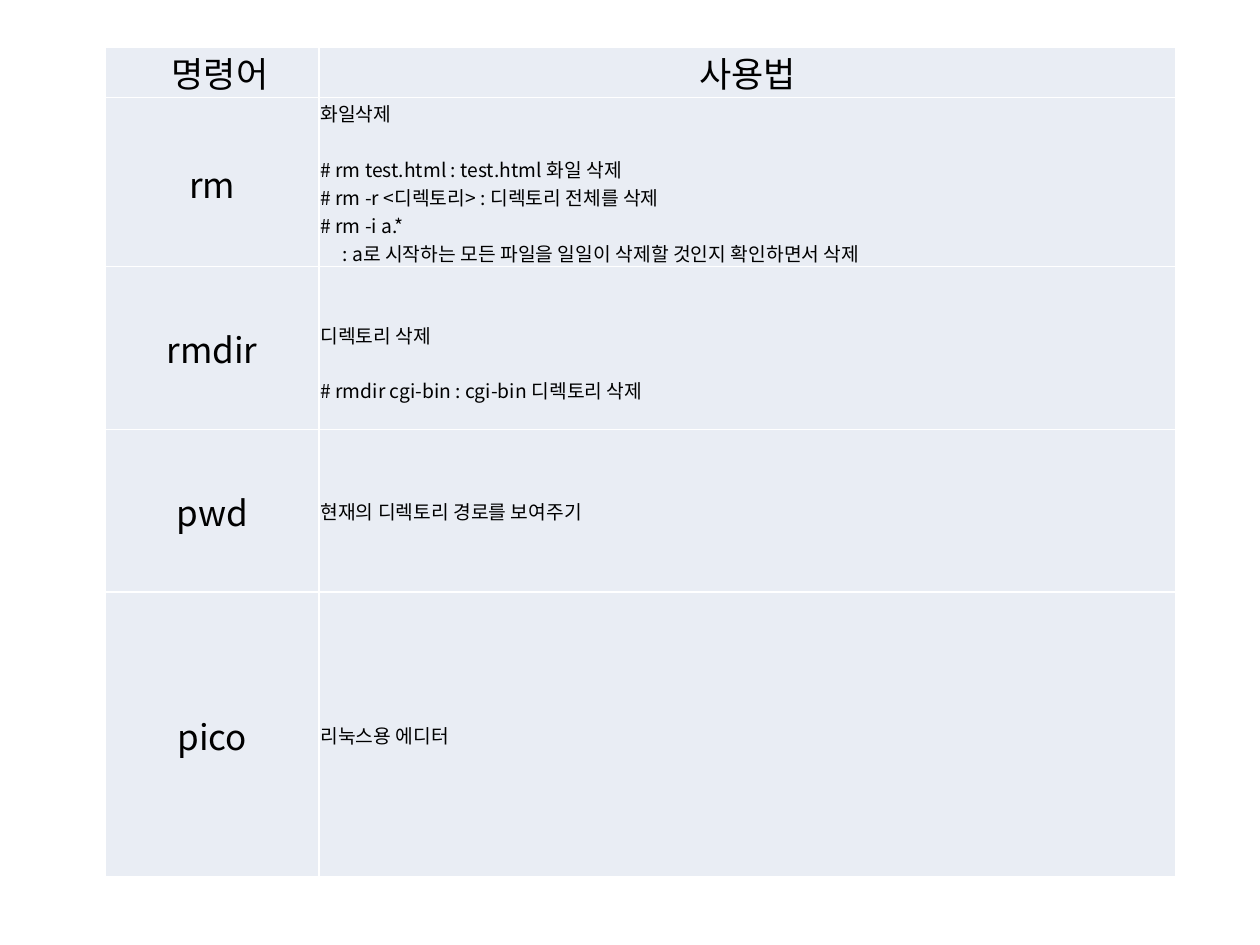
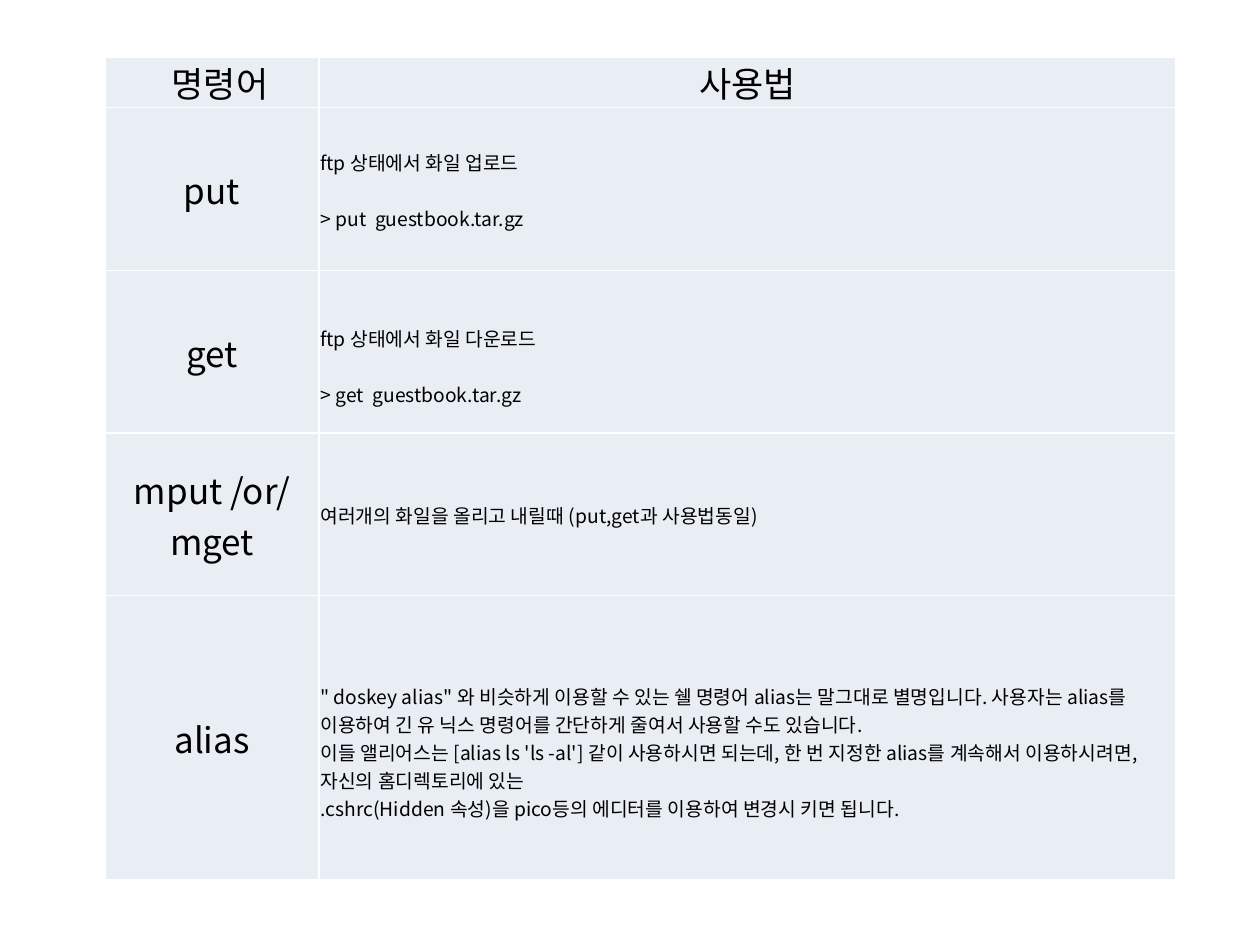
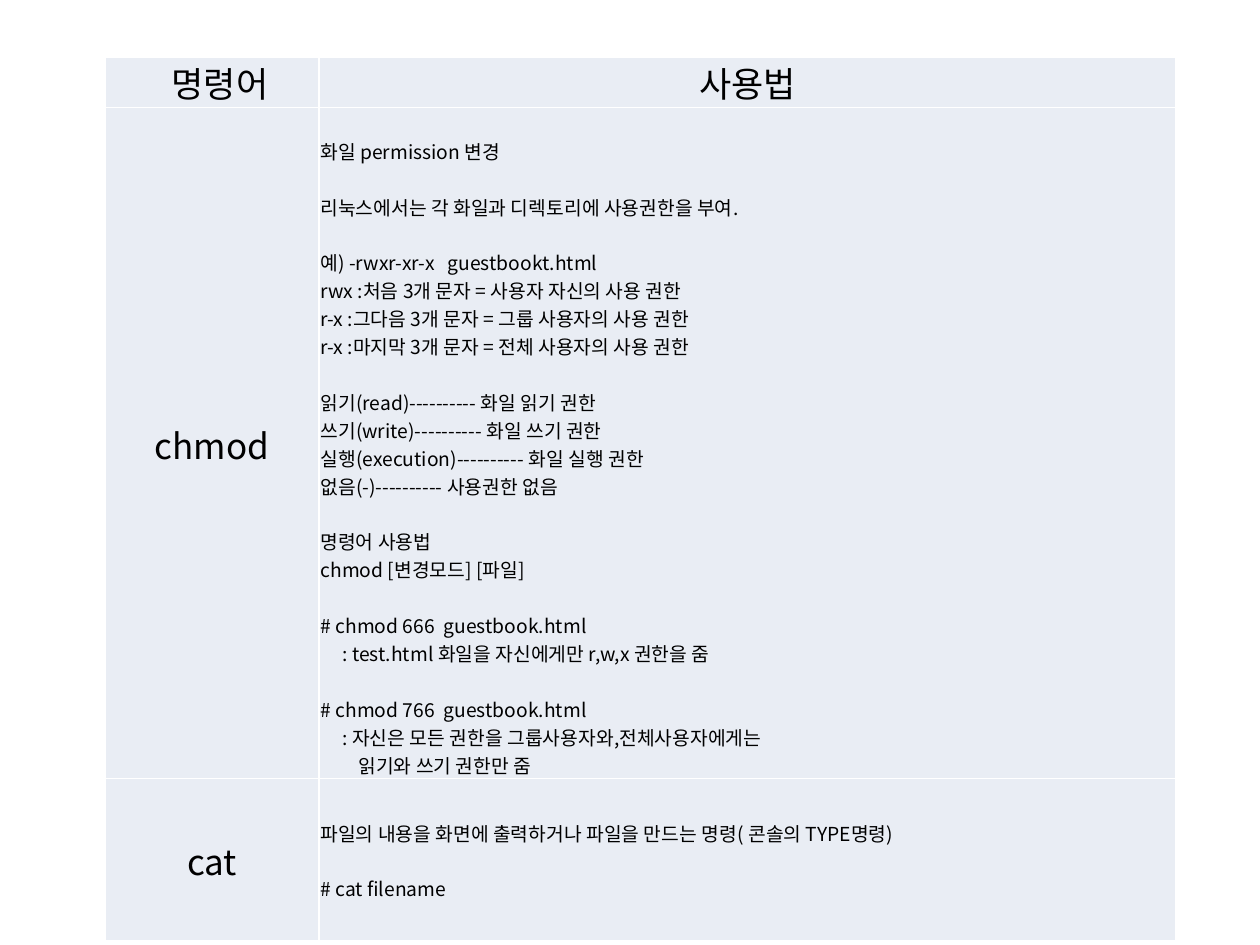
import dataclasses

import pptx
import pptx.dml.color
import pptx.enum.text
import pptx.oxml.ns
import pptx.util
from lxml import etree

Pt = pptx.util.Pt
ALIGN = pptx.enum.text.PP_ALIGN
BLANK_LAYOUT = 6


# Colours, type sizes and spacing shared by all slides
@dataclasses.dataclass(frozen=True)
class Theme:
    font: str = "Noto Sans CJK KR"
    text: str = "000000"
    cell: str = "E9EDF4"
    border: str = "FFFFFF"
    border_width: float = 1
    command_size: float = 20
    usage_size: float = 11
    usage_line: float = 15.9
    inset: float = 0.72
    header_shift: float = 9
    comment_indent: float = 12.6
    continued_indent: float = 21.7


THEME = Theme()

# Table geometry in points
TABLE_LEFT = 60
COLUMN_WIDTHS = (122.4, 489.6)
HEADER_HEIGHT = 29
ROW_HEIGHT = 92.9
TALL_ROW_HEIGHT = 162.7


@dataclasses.dataclass(frozen=True)
class Command:
    """One row; each block of usage lines is set apart by one line."""
    name: str
    blocks: tuple
    height: float = ROW_HEIGHT
    lowered: bool = False


def comment(text):
    return text, THEME.comment_indent


def continued(text):
    return text, THEME.continued_indent


FILE_COMMANDS = (
    Command("rm", (
        ("화일삭제",),
        ("# rm test.html : test.html 화일 삭제",
         "# rm -r <디렉토리> : 디렉토리 전체를 삭제",
         "# rm -i a.*",
         comment(": a로 시작하는 모든 파일을 일일이 삭제할 것인지 확인하면서 삭제")),
    ), height=96.6),
    Command("rmdir", (
        ("디렉토리 삭제",),
        ("# rmdir cgi-bin : cgi-bin 디렉토리 삭제",),
    ), lowered=True),
    Command("pwd", (("현재의 디렉토리 경로를 보여주기",),)),
    Command("pico", (("리눅스용 에디터",),), height=TALL_ROW_HEIGHT),
)

TRANSFER_COMMANDS = (
    Command("put", (
        ("ftp 상태에서 화일 업로드",),
        ("> put  guestbook.tar.gz",),
    )),
    Command("get", (
        ("ftp 상태에서 화일 다운로드",),
        ("> get  guestbook.tar.gz",),
    ), lowered=True),
    Command("mput /or/ mget", (
        ("여러개의 화일을 올리고 내릴때 (put,get과 사용법동일)",),
    )),
    Command("alias", (
        ("\" doskey alias\" 와 비슷하게 이용할 수 있는 쉘 명령어 alias는 말그대로 별명입니다. "
         "사용자는 alias를 이용하여 긴 유 닉스 명령어를 간단하게 줄여서 사용할 수도 있습니다.",
         "이들 앨리어스는 [alias ls 'ls -al'] 같이 사용하시면 되는데, 한 번 지정한 alias를 "
         "계속해서 이용하시려면, 자신의 홈디렉토리에 있는",
         ".cshrc(Hidden 속성)을 pico등의 에디터를 이용하여 변경시 키면 됩니다."),
    ), height=TALL_ROW_HEIGHT, lowered=True),
)

PERMISSION_COMMANDS = (
    Command("chmod", (
        ("화일 permission 변경",),
        ("리눅스에서는 각 화일과 디렉토리에 사용권한을 부여.",),
        ("예) -rwxr-xr-x   guestbookt.html",
         "rwx :처음 3개 문자 = 사용자 자신의 사용 권한",
         "r-x :그다음 3개 문자 = 그룹 사용자의 사용 권한",
         "r-x :마지막 3개 문자 = 전체 사용자의 사용 권한"),
        ("읽기(read)---------- 화일 읽기 권한",
         "쓰기(write)---------- 화일 쓰기 권한",
         "실행(execution)---------- 화일 실행 권한",
         "없음(-)---------- 사용권한 없음"),
        ("명령어 사용법",
         "chmod [변경모드] [파일]"),
        ("# chmod 666  guestbook.html",
         comment(": test.html 화일을 자신에게만 r,w,x 권한을 줌")),
        ("# chmod 766  guestbook.html",
         comment(": 자신은 모든 권한을 그룹사용자와,전체사용자에게는"),
         continued("읽기와 쓰기 권한만 줌")),
    ), height=383.4, lowered=True),
    Command("cat", (
        ("파일의 내용을 화면에 출력하거나 파일을 만드는 명령( 콘솔의 TYPE명령)",),
        ("# cat filename",),
    )),
)

# Table top and rows of each slide
SLIDES = (
    (26.8, FILE_COMMANDS),
    (32.5, TRANSFER_COMMANDS),
    (32.5, PERMISSION_COMMANDS),
)


def apply_format(target, values):
    for name, value in values.items():
        setattr(target, name, value)


def add_element(parent, tag, **attributes):
    return etree.SubElement(parent, pptx.oxml.ns.qn(tag), attributes)


def style_cell(cell, left=0, top=0, right=0):
    apply_format(cell, {
        "margin_left": Pt(left),
        "margin_top": Pt(top),
        "margin_right": Pt(right),
        "margin_bottom": 0,
        "vertical_anchor": pptx.enum.text.MSO_ANCHOR.MIDDLE,
    })
    # Borders come before the fill in the cell properties
    properties = cell._tc.get_or_add_tcPr()
    for side in ("a:lnL", "a:lnR", "a:lnT", "a:lnB"):
        line = add_element(properties, side, w=str(Pt(THEME.border_width)))
        add_element(add_element(line, "a:solidFill"), "a:srgbClr", val=THEME.border)
    cell.fill.solid()
    cell.fill.fore_color.rgb = pptx.dml.color.RGBColor.from_string(THEME.cell)


def write_line(paragraph, text, size, alignment=ALIGN.LEFT, indent=0, space_before=0):
    if indent:
        paragraph._p.get_or_add_pPr().set("marL", str(Pt(indent)))
    apply_format(paragraph, {"alignment": alignment, "space_before": Pt(space_before)})
    run = paragraph.add_run()
    run.text = text
    apply_format(run.font, {"name": THEME.font, "size": Pt(size), "bold": False})
    run.font.color.rgb = pptx.dml.color.RGBColor.from_string(THEME.text)
    add_element(run._r.get_or_add_rPr(), "a:ea", typeface=THEME.font)


def write_name(cell, text):
    write_line(cell.text_frame.paragraphs[0], text, THEME.command_size, ALIGN.CENTER)


def write_usage(cell, blocks):
    frame = cell.text_frame
    paragraph = frame.paragraphs[0]
    for block_number, block in enumerate(blocks):
        for line_number, line in enumerate(block):
            text, indent = (line, 0) if isinstance(line, str) else line
            starts_block = line_number == 0 and block_number > 0
            if block_number or line_number:
                paragraph = frame.add_paragraph()
            write_line(paragraph, text, THEME.usage_size, indent=indent,
                       space_before=THEME.usage_line if starts_block else 0)


def add_command_table(slide, top, commands):
    heights = [HEADER_HEIGHT] + [command.height for command in commands]
    table = slide.shapes.add_table(
        len(heights), len(COLUMN_WIDTHS), Pt(TABLE_LEFT), Pt(top),
        Pt(sum(COLUMN_WIDTHS)), Pt(sum(heights))).table
    apply_format(table, {"first_row": False, "horz_banding": False})
    for column, width in zip(table.columns, COLUMN_WIDTHS):
        column.width = Pt(width)
    for row, height in zip(table.rows, heights):
        row.height = Pt(height)

    # Header row
    for column, (title, shift) in enumerate((("명령어", THEME.header_shift), ("사용법", 0))):
        cell = table.cell(0, column)
        style_cell(cell, left=shift)
        write_name(cell, title)

    # Command rows
    inset = THEME.inset
    for row, command in enumerate(commands, start=1):
        name_cell, usage_cell = table.cell(row, 0), table.cell(row, 1)
        style_cell(name_cell, inset, inset, inset)
        write_name(name_cell, command.name)
        usage_top = inset + (THEME.usage_line if command.lowered else 0)
        style_cell(usage_cell, inset, usage_top, inset)
        write_usage(usage_cell, command.blocks)


def main():
    presentation = pptx.Presentation()
    apply_format(presentation, {"slide_width": Pt(720), "slide_height": Pt(540)})
    for top, commands in SLIDES:
        slide = presentation.slides.add_slide(presentation.slide_layouts[BLANK_LAYOUT])
        add_command_table(slide, top, commands)
    presentation.save("out.pptx")


if __name__ == "__main__":
    main()
